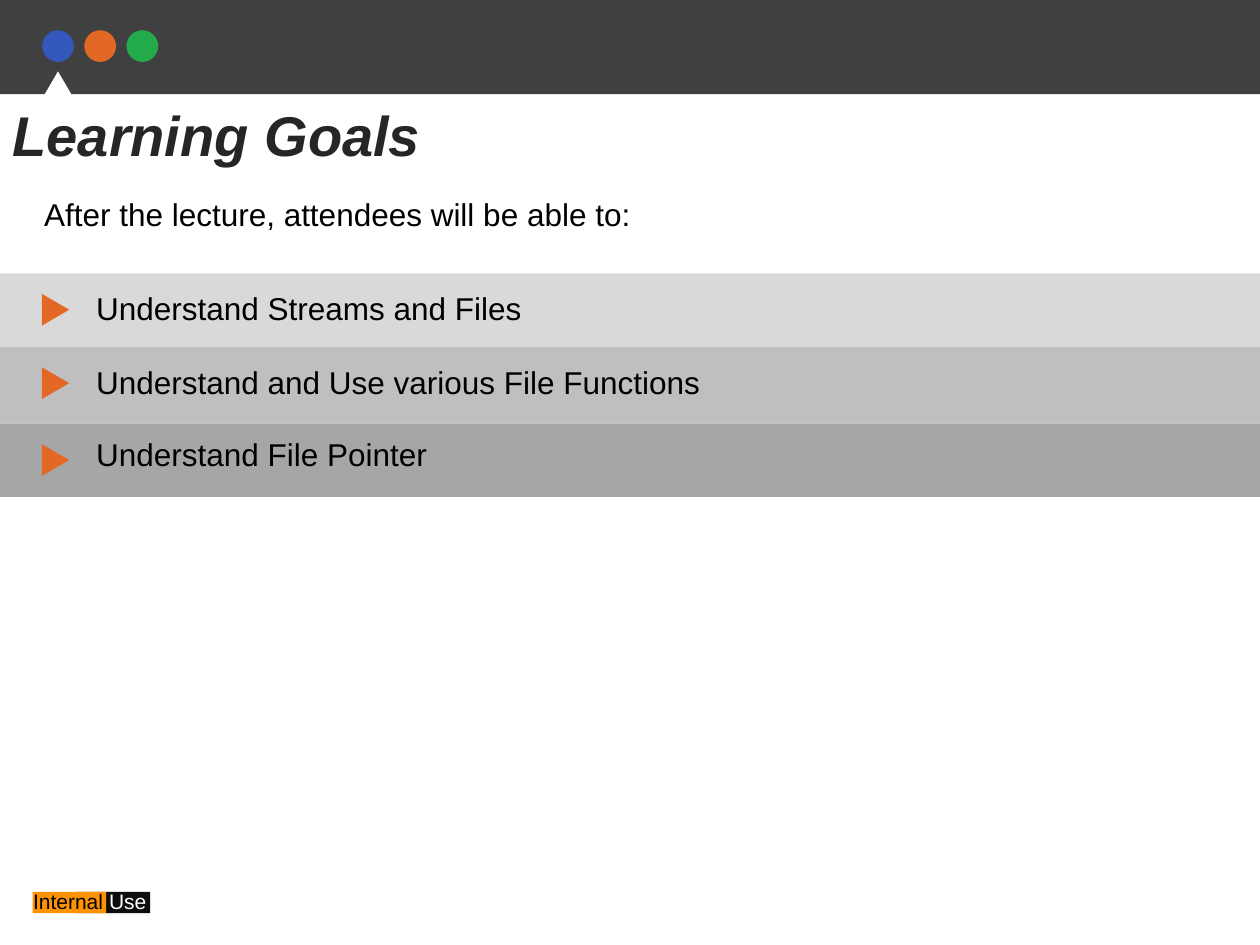
from pptx import Presentation
from pptx.dml.color import RGBColor
from pptx.enum.shapes import MSO_SHAPE
from pptx.enum.text import MSO_ANCHOR, MSO_AUTO_SIZE, PP_ALIGN
from pptx.util import Cm, Pt

COLORS = {
    "header": "404040", "blue": "3357BB", "orange": "E46825", "green": "23AA4A",
    "white": "FFFFFF", "black": "000000", "title": "262626",
    "amber": "FD9203", "ink": "0D0D0D",
    "light": "D9D9D9", "middle": "BFBFBF", "dark": "A6A6A6",
}
TITLE = "Learning Goals"
INTRO = "After the lecture, attendees will be able to:"
GOALS = [
    ("Understand Streams and Files", "light", 1.48, 0.2),
    ("Understand and Use various File Functions", "middle", 1.55, 0.2),
    ("Understand File Pointer", "dark", 1.48, 0.1),
]
DOTS = ["blue", "orange", "green"]
BADGE = [("Internal ", "black"), ("Use", "white")]
BADGE_PLATES = [("ink", 1.55), ("amber", 0.66)]
WIDTH, HEIGHT = 25.4, 19.05
HEADER_HEIGHT = 1.9
GOALS_TOP = 5.51


def add_block(slide, kind, left, top, width, height, color, rotation=0):
    shape = slide.shapes.add_shape(kind, Cm(left), Cm(top), Cm(width), Cm(height))
    shape.shadow.inherit = False
    shape.fill.solid()
    shape.fill.fore_color.rgb = RGBColor.from_string(COLORS[color])
    shape.line.fill.background()
    shape.rotation = rotation


def write(box, spans, size, bold=False, italic=False):
    frame = box.text_frame
    frame.word_wrap = True
    frame.auto_size = MSO_AUTO_SIZE.NONE
    frame.vertical_anchor = MSO_ANCHOR.TOP
    para = frame.paragraphs[0]
    para.alignment = PP_ALIGN.LEFT
    for text, color in spans:
        span = para.add_run()
        span.text = text
        span.font.name = "Arial"
        span.font.size = Pt(size)
        span.font.bold = bold
        span.font.italic = italic
        span.font.color.rgb = RGBColor.from_string(COLORS[color])


def add_text(slide, left, top, width, height, spans, size):
    box = slide.shapes.add_textbox(Cm(left), Cm(top), Cm(width), Cm(height))
    write(box, spans, size)


def add_header(slide):
    add_block(slide, MSO_SHAPE.RECTANGLE, 0, 0, WIDTH, HEADER_HEIGHT, "header")
    for index, color in enumerate(DOTS):
        add_block(slide, MSO_SHAPE.OVAL, 0.85 + 0.85 * index, 0.61, 0.64, 0.64, color)
    add_block(slide, MSO_SHAPE.ISOSCELES_TRIANGLE, 0.43, 1.44, 1.48, 1.27, "white")


def add_badge(slide):
    for color, left in BADGE_PLATES:
        add_block(slide, MSO_SHAPE.RECTANGLE, left, 17.98, 1.48, 0.43, color)
    add_text(slide, 0.42, 17.78, 3.81, 0.76, BADGE, 12)


def add_title(slide):
    title = slide.shapes.title
    title.left, title.top = Cm(0), Cm(HEADER_HEIGHT)
    title.width, title.height = Cm(11.86), Cm(1.63)
    write(title, [(TITLE, "title")], 32, bold=True, italic=True)


def add_goals(slide):
    top = GOALS_TOP
    for text, color, height, text_offset in GOALS:
        add_block(slide, MSO_SHAPE.RECTANGLE, 0, top, WIDTH, height, color)
        add_block(slide, MSO_SHAPE.ISOSCELES_TRIANGLE, 0.8, top + 0.46, 0.64, 0.55,
                  "orange", rotation=90)
        add_text(slide, 1.69, top + text_offset, 22.65, 1.02, [(text, "black")], 18)
        top += height


def main():
    deck = Presentation()
    deck.slide_width, deck.slide_height = Cm(WIDTH), Cm(HEIGHT)
    slide = deck.slides.add_slide(deck.slide_layouts[5])
    add_header(slide)
    add_badge(slide)
    add_title(slide)
    slide.shapes.element.append(slide.shapes.title.element)
    add_text(slide, 0.64, 3.81, 17.78, 1.27, [(INTRO, "black")], 18)
    add_goals(slide)
    deck.save("out.pptx")


if __name__ == "__main__":
    main()
